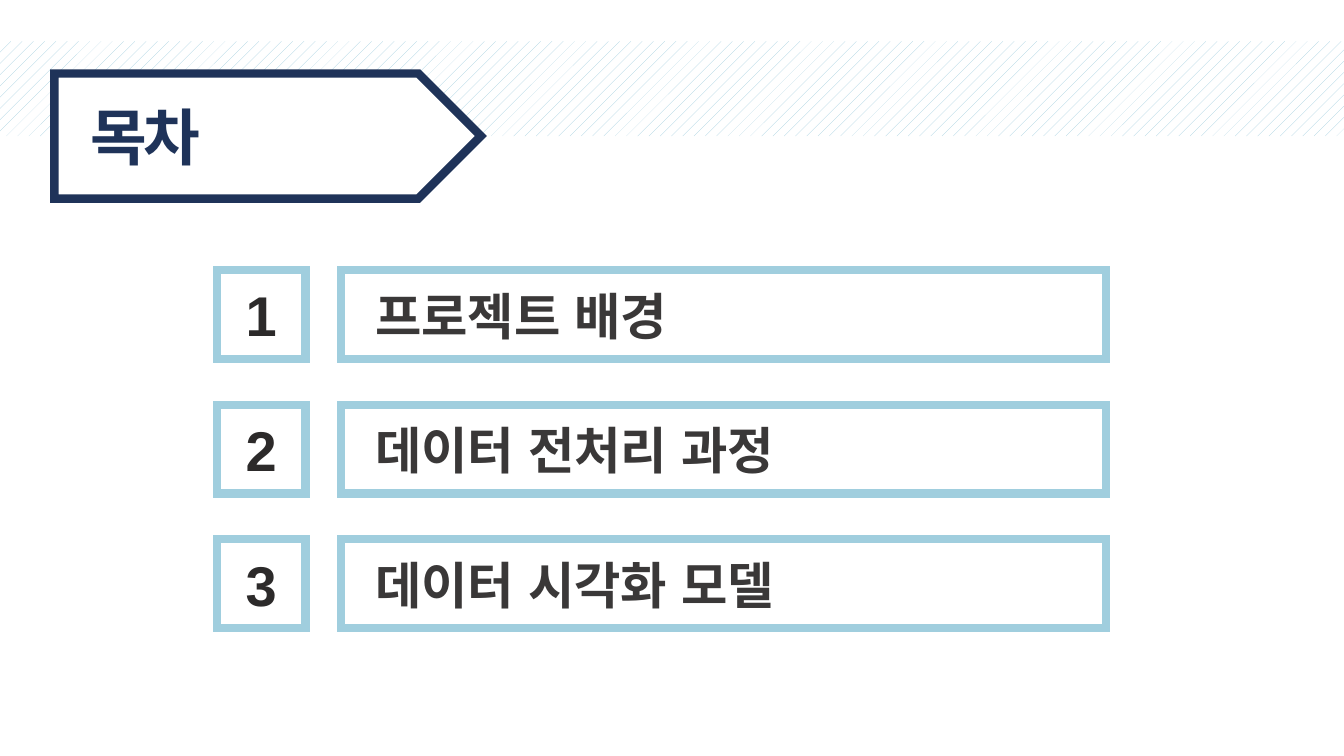
from dataclasses import dataclass

from lxml import etree
from pptx import Presentation
from pptx.dml.color import RGBColor
from pptx.enum.dml import MSO_PATTERN
from pptx.enum.shapes import MSO_SHAPE
from pptx.enum.text import MSO_ANCHOR, MSO_AUTO_SIZE, PP_ALIGN
from pptx.oxml.ns import qn
from pptx.util import Inches, Pt

RECTANGLE, PENTAGON = MSO_SHAPE.RECTANGLE, MSO_SHAPE.PENTAGON
LEFT, CENTER = PP_ALIGN.LEFT, PP_ALIGN.CENTER
TOP, MIDDLE = MSO_ANCHOR.TOP, MSO_ANCHOR.MIDDLE

WHITE = RGBColor(0xFF, 0xFF, 0xFF)
NAVY = RGBColor(0x1F, 0x33, 0x59)
SKY = RGBColor(0xA0, 0xCE, 0xDE)
NUMBER_INK = RGBColor(0x2C, 0x2A, 0x2A)
TOPIC_INK = RGBColor(0x3A, 0x38, 0x38)

FONT = "Arial"
PAGE_WIDTH, PAGE_HEIGHT = 13.33, 7.5
TOPICS = ["프로젝트 배경", "데이터 전처리 과정", "데이터 시각화 모델"]

# Grid of the agenda: one row per topic, a number column and a topic column
FIRST_ROW, ROW_PITCH, ROW_HEIGHT = 2.68, 1.335, 0.88
NUMBER_LEFT, NUMBER_WIDTH = 2.15, 0.88
TOPIC_LEFT, TOPIC_WIDTH = 3.38, 7.59
LIST_TOP = 2.09


@dataclass(frozen=True)
class Area:
    left: float
    top: float
    width: float
    height: float

    def lengths(self) -> list:
        return [Inches(n) for n in (self.left, self.top, self.width, self.height)]


@dataclass(frozen=True)
class TextStyle:
    size: int
    color: RGBColor
    align: PP_ALIGN = LEFT
    spacing: int = 0


TITLE_STYLE = TextStyle(44, NAVY, spacing=-300)
NUMBER_STYLE = TextStyle(40, NUMBER_INK, CENTER)
TOPIC_STYLE = TextStyle(36, TOPIC_INK)


def add_outlined(page, kind: MSO_SHAPE, area: Area, color: RGBColor):
    """Add a white shape with a thick, sharp-cornered outline."""
    box = page.shapes.add_shape(kind, *area.lengths())
    box.shadow.inherit = False
    box.fill.solid()
    box.fill.fore_color.rgb = WHITE
    box.line.color.rgb = color
    box.line.width = Pt(6)
    etree.SubElement(box.line._get_or_add_ln(), qn("a:miter"), lim="800000")
    return box


def write(para, text: str, style: TextStyle) -> None:
    """Write one styled span into a paragraph."""
    para.alignment = style.align
    span = para.add_run()
    span.text = text
    font_values = {"name": FONT, "size": Pt(style.size), "bold": True}
    for name, value in font_values.items():
        setattr(span.font, name, value)
    span.font.color.rgb = style.color
    properties = span._r.get_or_add_rPr()
    etree.SubElement(properties, qn("a:ea"), typeface=FONT)
    if style.spacing:
        properties.set("spc", str(style.spacing))


def place(page, holder, area: Area, frame_values: dict):
    """Move a placeholder to the front and format its text frame."""
    holder.left, holder.top, holder.width, holder.height = area.lengths()
    page.shapes._spTree.append(holder._element)
    frame = holder.text_frame
    for name, value in frame_values.items():
        setattr(frame, name, value)
    return frame


def add_band(page) -> None:
    band = page.shapes.add_shape(RECTANGLE, *Area(0, 0.41, PAGE_WIDTH, 0.94).lengths())
    band.shadow.inherit = False
    band.fill.patterned()
    band.fill.pattern = MSO_PATTERN.PERCENT_10
    band.fill.fore_color.rgb = SKY
    band.fill.back_color.rgb = WHITE
    band.line.fill.background()


def add_title(page) -> None:
    add_outlined(page, PENTAGON, Area(0.54, 0.73, 4.23, 1.24), NAVY)
    frame = place(page, page.shapes.title, Area(0.8, 0.93, 2.4, 0.84), {
        "auto_size": MSO_AUTO_SIZE.NONE,
        "vertical_anchor": TOP,
        "word_wrap": True,
    })
    write(frame.paragraphs[0], "목차", TITLE_STYLE)


def add_agenda(page) -> None:
    # Numbered frames
    for row in range(len(TOPICS)):
        top = FIRST_ROW + row * ROW_PITCH
        number_area = Area(NUMBER_LEFT, top, NUMBER_WIDTH, ROW_HEIGHT)
        number_box = add_outlined(page, RECTANGLE, number_area, SKY)
        number_box.text_frame.vertical_anchor = MIDDLE
        write(number_box.text_frame.paragraphs[0], str(row + 1), NUMBER_STYLE)
        add_outlined(page, RECTANGLE, Area(TOPIC_LEFT, top, TOPIC_WIDTH, ROW_HEIGHT), SKY)

    # Topics, one line per grid row
    list_area = Area(3.62, LIST_TOP, 7, len(TOPICS) * ROW_PITCH)
    frame = place(page, page.placeholders[1], list_area, {
        "auto_size": MSO_AUTO_SIZE.NONE,
        "vertical_anchor": TOP,
        "word_wrap": True,
        "margin_top": 0,
        "margin_bottom": 0,
    })
    for row, topic in enumerate(TOPICS):
        para = frame.add_paragraph() if row else frame.paragraphs[0]
        para.line_spacing = Pt(ROW_PITCH * 72)
        para.space_before = para.space_after = Pt(0)
        write(para, topic, TOPIC_STYLE)
        properties = para._p.get_or_add_pPr()
        properties.set("marL", "0")
        properties.set("indent", "0")
        etree.SubElement(properties, qn("a:buNone"))


def main() -> None:
    deck = Presentation()
    deck.slide_width = Inches(PAGE_WIDTH)
    deck.slide_height = Inches(PAGE_HEIGHT)
    page = deck.slides.add_slide(deck.slide_layouts[1])
    add_band(page)
    add_title(page)
    add_agenda(page)
    deck.save("out.pptx")


if __name__ == "__main__":
    main()
